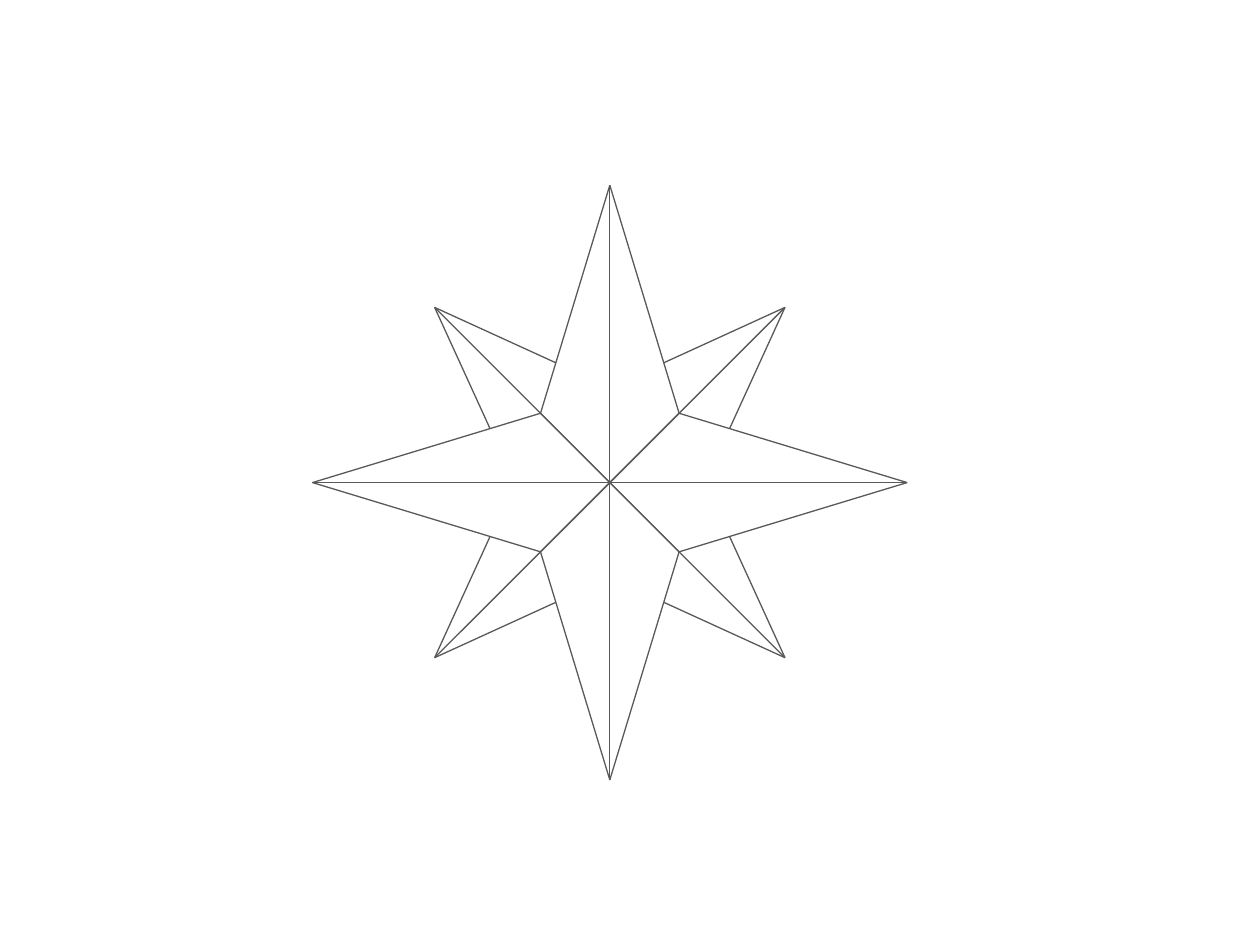
import itertools
from dataclasses import dataclass

import pptx
import pptx.dml.color
import pptx.enum.shapes
import pptx.util
from pptx.util import Inches


@dataclass(frozen=True)
class Theme:
    line_color: str = "595959"
    line_width: float = 0.75


THEME = Theme()


def add_line(page, start, end):
    line = page.shapes.add_connector(
        pptx.enum.shapes.MSO_CONNECTOR.STRAIGHT,
        *(Inches(value) for value in (*start, *end)))
    line.line.color.rgb = pptx.dml.color.RGBColor.from_string(THEME.line_color)
    line.line.width = pptx.util.Pt(THEME.line_width)
    properties = line._element.spPr
    properties.append(properties.makeelement(
        "{http://schemas.openxmlformats.org/drawingml/2006/main}effectLst", {}))


def add_compass_star(page, left, top, size):
    """Draw an eight-pointed star that fills a square box."""
    radius = size / 2
    # Distances from the centre, as shares of the radius
    notch = 0.233 * radius
    minor_tip = 0.589 * radius
    flank_near, flank_far = 0.182 * radius, 0.403 * radius

    def place(x, y):
        return left + radius + x, top + radius + y

    # Long axes and the diagonals between the notches
    for start in ((-radius, 0), (0, -radius), (-notch, -notch), (notch, -notch)):
        add_line(page, place(*start), place(-start[0], -start[1]))

    for across, down in itertools.product((-1, 1), repeat=2):
        corner = place(across * notch, down * notch)
        tip = place(across * minor_tip, down * minor_tip)
        # Edges of the long points
        add_line(page, place(across * radius, 0), corner)
        add_line(page, place(0, down * radius), corner)
        # Ridge and edges of the short point
        add_line(page, place(0, 0), tip)
        add_line(page, place(across * flank_near, down * flank_far), tip)
        add_line(page, place(across * flank_far, down * flank_near), tip)


deck = pptx.Presentation()
deck.slide_width, deck.slide_height = Inches(10), Inches(7.5)
page = deck.slides.add_slide(deck.slide_layouts[6])
add_compass_star(page, left=2.48, top=1.47, size=4.72)
deck.save("out.pptx")
